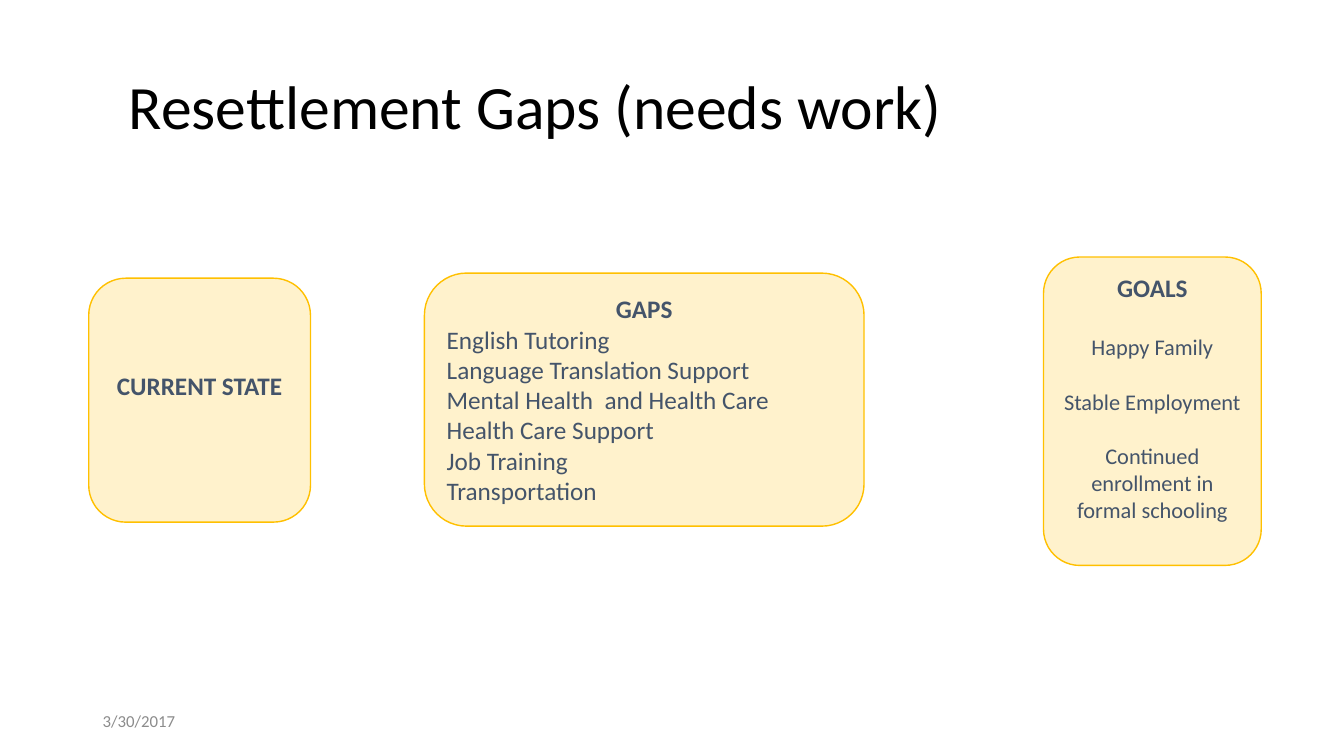
import dataclasses

import pptx
import pptx.dml.color
import pptx.enum.shapes
import pptx.enum.text
import pptx.util

ALIGN = pptx.enum.text.PP_ALIGN
SLIDE_WIDTH, SLIDE_HEIGHT = 13.33, 7.5


@dataclasses.dataclass(frozen=True)
class Theme:
    font: str = "Calibri"
    title_color: str = "000000"
    card_text: str = "44546A"
    card_fill: str = "FFF2CC"
    card_line: str = "FFC000"
    date_color: str = "8C8C8C"
    title_size: int = 44
    heading_size: int = 18
    goal_size: int = 16
    date_size: int = 12


THEME = Theme()


def rgb(value):
    return pptx.dml.color.RGBColor.from_string(value)


def place(left, top, width, height):
    """Turn percentages of the slide into lengths."""
    return (
        pptx.util.Inches(left * SLIDE_WIDTH / 100),
        pptx.util.Inches(top * SLIDE_HEIGHT / 100),
        pptx.util.Inches(width * SLIDE_WIDTH / 100),
        pptx.util.Inches(height * SLIDE_HEIGHT / 100),
    )


def write(paragraph, text, size, color, bold=False, align=ALIGN.LEFT, gap=0):
    paragraph.alignment = align
    paragraph.space_before = pptx.util.Pt(gap)
    run = paragraph.add_run()
    run.text = text
    run.font.name = THEME.font
    run.font.size = pptx.util.Pt(size)
    run.font.bold = bold
    run.font.color.rgb = rgb(color)


def add_label(slide, box, text, size, color, line_spacing=1.0):
    """A single line of text, centred vertically in its box."""
    frame = slide.shapes.add_textbox(*place(*box)).text_frame
    frame.word_wrap = True
    frame.vertical_anchor = pptx.enum.text.MSO_ANCHOR.MIDDLE
    frame.paragraphs[0].line_spacing = line_spacing
    write(frame.paragraphs[0], text, size, color)


def add_card(slide, box, heading, items=(), size=THEME.heading_size,
             align=ALIGN.LEFT, gaps=(), bottom_inset=0.05):
    """A rounded card with a bold heading and its items below."""
    card = slide.shapes.add_shape(
        pptx.enum.shapes.MSO_SHAPE.ROUNDED_RECTANGLE, *place(*box))
    card.shadow.inherit = False
    card.fill.solid()
    card.fill.fore_color.rgb = rgb(THEME.card_fill)
    card.line.color.rgb = rgb(THEME.card_line)
    card.line.width = pptx.util.Pt(1)

    frame = card.text_frame
    frame.word_wrap = True
    frame.vertical_anchor = pptx.enum.text.MSO_ANCHOR.MIDDLE
    frame.margin_bottom = pptx.util.Inches(bottom_inset)
    write(frame.paragraphs[0], heading, THEME.heading_size, THEME.card_text,
          bold=True, align=ALIGN.CENTER)
    for item, gap in zip(items, gaps or [0] * len(items)):
        write(frame.add_paragraph(), item, size, THEME.card_text,
              align=align, gap=gap)


def build_gap_slide(presentation):
    slide = presentation.slides.add_slide(presentation.slide_layouts[6])

    # Title
    add_label(slide, (8.85, 5.87, 81.47, 17.33), "Resettlement Gaps (needs work)",
              THEME.title_size, THEME.title_color, line_spacing=0.9)

    # Goals, current state and the gaps between them
    add_card(slide, (77.64, 34, 16.2, 40.8), "GOALS",
             ["Happy Family", "Stable Employment",
              "Continued enrollment in formal schooling"],
             size=THEME.goal_size, align=ALIGN.CENTER,
             gaps=[22, 19.5, 19.5], bottom_inset=0.32)
    add_card(slide, (6.6, 36.8, 16.5, 32.27), "CURRENT STATE", bottom_inset=0.35)
    add_card(slide, (31.58, 36.13, 32.71, 33.47), "GAPS",
             ["English Tutoring", "Language Translation Support",
              "Mental Health  and Health Care", "Health Care Support",
              "Job Training", "Transportation"])

    # Date
    add_label(slide, (6.9, 92.67, 22.5, 5.33), "3/30/2017",
              THEME.date_size, THEME.date_color)


def main():
    presentation = pptx.Presentation()
    presentation.slide_width = pptx.util.Inches(SLIDE_WIDTH)
    presentation.slide_height = pptx.util.Inches(SLIDE_HEIGHT)
    build_gap_slide(presentation)
    presentation.save("out.pptx")


if __name__ == "__main__":
    main()
